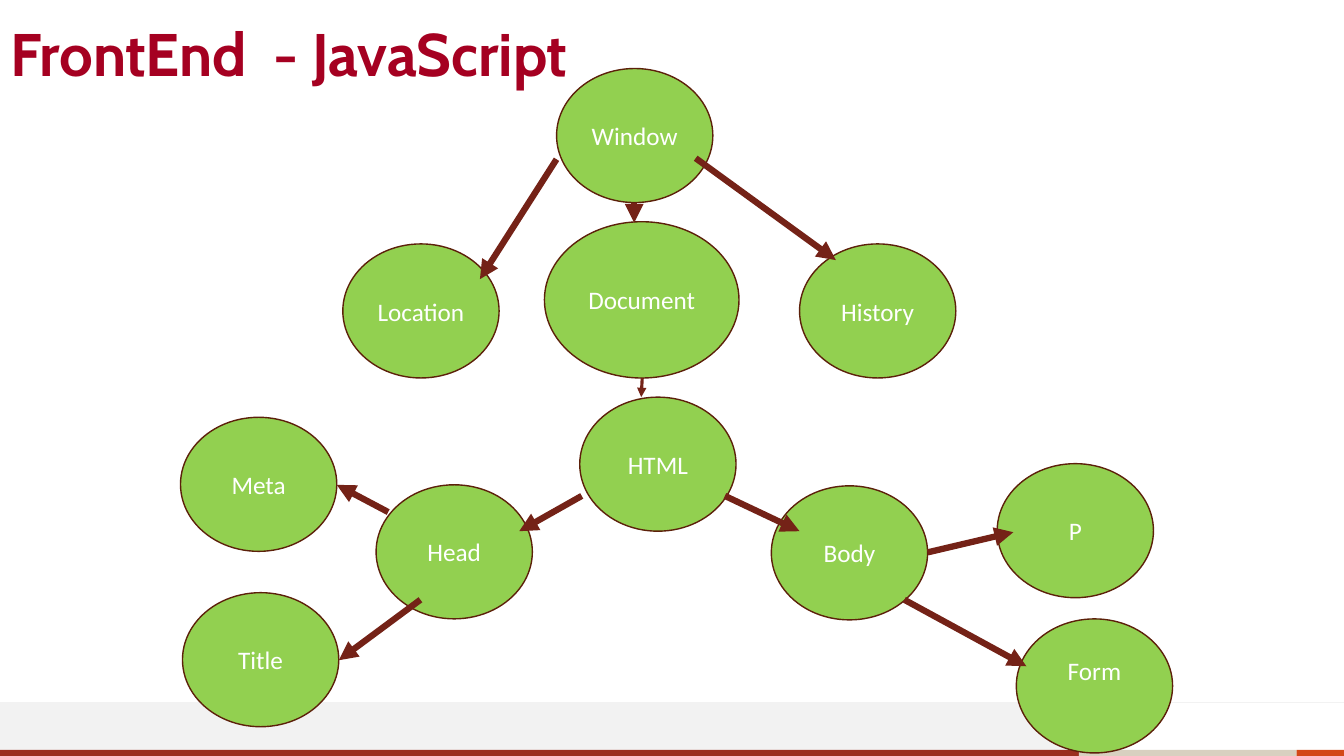
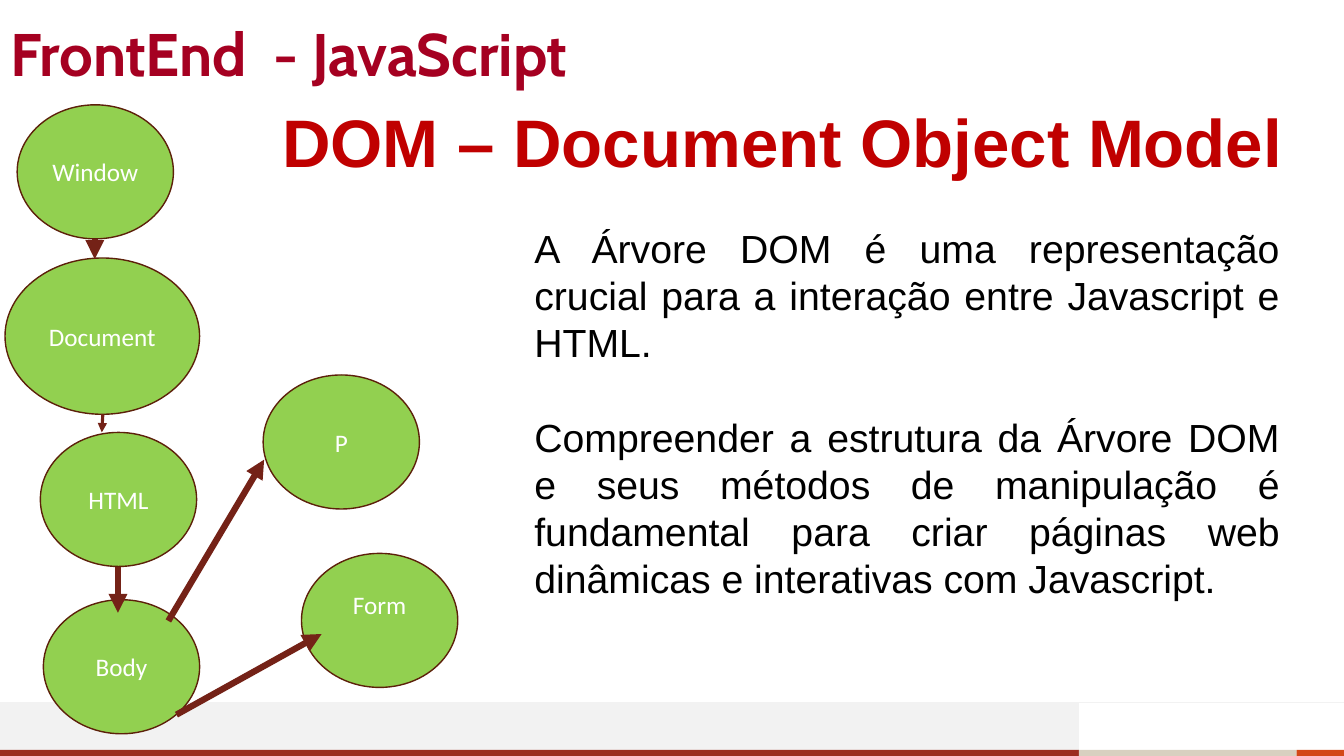
"""Build two slides that present the DOM tree."""
from pptx import Presentation
from pptx.dml.color import RGBColor
from pptx.enum.shapes import MSO_CONNECTOR, MSO_SHAPE
from pptx.enum.text import MSO_ANCHOR, MSO_AUTO_SIZE, PP_ALIGN
from pptx.oxml.ns import qn
from pptx.util import Pt
from lxml import etree

PX = 9144
RECT, OVAL = MSO_SHAPE.RECTANGLE, MSO_SHAPE.FLOWCHART_CONNECTOR
STRAIGHT = MSO_CONNECTOR.STRAIGHT
TOP, MIDDLE = MSO_ANCHOR.TOP, MSO_ANCHOR.MIDDLE
LEFT, CENTER, JUSTIFY = PP_ALIGN.LEFT, PP_ALIGN.CENTER, PP_ALIGN.JUSTIFY
COLORS = {
    "title": "A50021", "heading": "C00000", "text": "000000",
    "node": "92D050", "outline": "5C200A", "label": "FFFFFF", "arrow": "742217",
    "pale": "F2F2F2", "red": "9B2D1F", "sand": "D8D0C0", "orange": "D34817",
}
BANDS = [
    (0, 697, 1070, 47, "pale"),
    (0, 744, 1070, 6, "red"),
    (1070, 744, 216, 6, "sand"),
    (1286, 744, 47, 6, "orange"),
]
NODE_SIZES = {"Document": (193, 155)}
TREES = [
    {
        "layout": 5,
        "nodes": [
            ("Window", 552, 68), ("Location", 340, 242), ("Document", 540, 220),
            ("History", 793, 242), ("HTML", 575, 394), ("Body", 765, 482),
            ("Head", 373, 481), ("Meta", 179, 414), ("Title", 181, 588),
            ("P", 989, 460), ("Form", 1008, 614),
        ],
        "arrows": [
            (629, 201, 629, 221, 4.5), (552, 158, 476, 277, 4.5),
            (690, 157, 829, 258, 4.5), (637, 375, 636, 394, 2.25),
            (577, 492, 515, 527, 4.5), (719, 492, 793, 527, 4.5),
            (920, 548, 1005, 528, 4.5), (897, 595, 1018, 661, 4.5),
            (385, 508, 334, 481, 4.5), (417, 595, 336, 655, 4.5),
        ],
    },
    {
        "layout": 1,
        "nodes": [
            ("Window", 17, 104), ("Document", 5, 256), ("HTML", 40, 429),
            ("Body", 43, 595), ("P", 261, 372), ("Form", 299, 549),
        ],
        "arrows": [
            (94, 237, 94, 257, 4.5), (102, 411, 101, 429, 2.25),
            (117, 563, 117, 608, 4.5), (167, 616, 262, 456, 4.5),
            (175, 709, 319, 629, 4.5),
        ],
    },
]
BODY = [
    "A Árvore DOM é uma representação crucial para a interação entre "
    "Javascript e HTML.",
    "Compreender a estrutura da Árvore DOM e seus métodos de manipulação é "
    "fundamental para criar páginas web dinâmicas e interativas com Javascript.",
]


def format_text(s, font, size, color, bold, align, anchor):
    tf = s.text_frame
    tf.word_wrap = True
    tf.auto_size = MSO_AUTO_SIZE.NONE
    tf.vertical_anchor = anchor
    for p in tf.paragraphs:
        p.alignment = align
        p.font.name, p.font.size, p.font.bold = font, Pt(size), bold
        p.font.color.rgb = RGBColor.from_string(COLORS[color])


def add_line(slide, x1, y1, x2, y2, color, width):
    c = slide.shapes.add_connector(STRAIGHT, x1 * PX, y1 * PX, x2 * PX, y2 * PX)
    c.line.color.rgb = RGBColor.from_string(COLORS[color])
    c.line.width = Pt(width)
    etree.SubElement(c.element.spPr, qn("a:effectLst"))
    return c


prs = Presentation()
prs.slide_width, prs.slide_height = 1333 * PX, 750 * PX
slides = [prs.slides.add_slide(prs.slide_layouts[tree["layout"]]) for tree in TREES]

shared = []
for x, y, w, h, color in BANDS:
    s = slides[0].shapes.add_shape(RECT, x * PX, y * PX, w * PX, h * PX)
    s.shadow.inherit = False
    s.fill.solid()
    s.fill.fore_color.rgb = RGBColor.from_string(COLORS[color])
    s.line.fill.background()
    shared.append(s)
shared.append(add_line(slides[0], 1333, 697, 0, 697, "pale", 0.5))
for number, s in enumerate(shared, 20):
    s.element.xpath(".//p:cNvPr")[0].set("id", str(number))
    prs.slide_master.shapes.element.append(s.element)

for slide, tree in zip(slides, TREES):
    title = slide.shapes.title
    title.left, title.top, title.width, title.height = 0, 22 * PX, 1150 * PX, 74 * PX
    title.text_frame.text = "FrontEnd  - JavaScript"
    title.text_frame.paragraphs[0].line_spacing = 0.8
    format_text(title, "Cabin", 42.9, "title", True, LEFT, MIDDLE)

    for name, x, y in tree["nodes"]:
        w, h = NODE_SIZES.get(name, (155, 133))
        s = slide.shapes.add_shape(OVAL, x * PX, y * PX, w * PX, h * PX)
        s.shadow.inherit = False
        s.fill.solid()
        s.fill.fore_color.rgb = RGBColor.from_string(COLORS["node"])
        s.line.color.rgb = RGBColor.from_string(COLORS["outline"])
        s.line.width = Pt(1)
        s.text_frame.text = name
        format_text(s, "Calibri", 18, "label", False, CENTER, MIDDLE)
        if name == "Form":
            s.text_frame.margin_bottom = 36 * PX

    for x1, y1, x2, y2, width in tree["arrows"]:
        c = add_line(slide, x1, y1, x2, y2, "arrow", width)
        etree.SubElement(c.line._get_or_add_ln(), qn("a:tailEnd"), type="triangle")

slide = slides[1]
heading = slide.shapes.add_textbox(270 * PX, 100 * PX, 1031 * PX, 80 * PX)
heading.text_frame.text = "DOM – Document Object Model"
format_text(heading, "Arial", 48, "heading", True, LEFT, MIDDLE)

body = slide.placeholders[1]
body.left, body.top, body.width, body.height = 520 * PX, 218 * PX, 759 * PX, 387 * PX
body.text_frame.text = "\n".join(BODY)
format_text(body, "Arial", 28, "text", False, JUSTIFY, TOP)
for p in body.text_frame.paragraphs:
    p.line_spacing = Pt(33.6)
    p.space_before, p.space_after = Pt(0), Pt(33.6)
    pPr = p._p.get_or_add_pPr()
    pPr.set("marL", "0")
    pPr.set("indent", "0")
    pPr.insert_element_before(
        etree.Element(qn("a:buNone")), "a:tabLst", "a:defRPr", "a:extLst")

prs.save("out.pptx")
